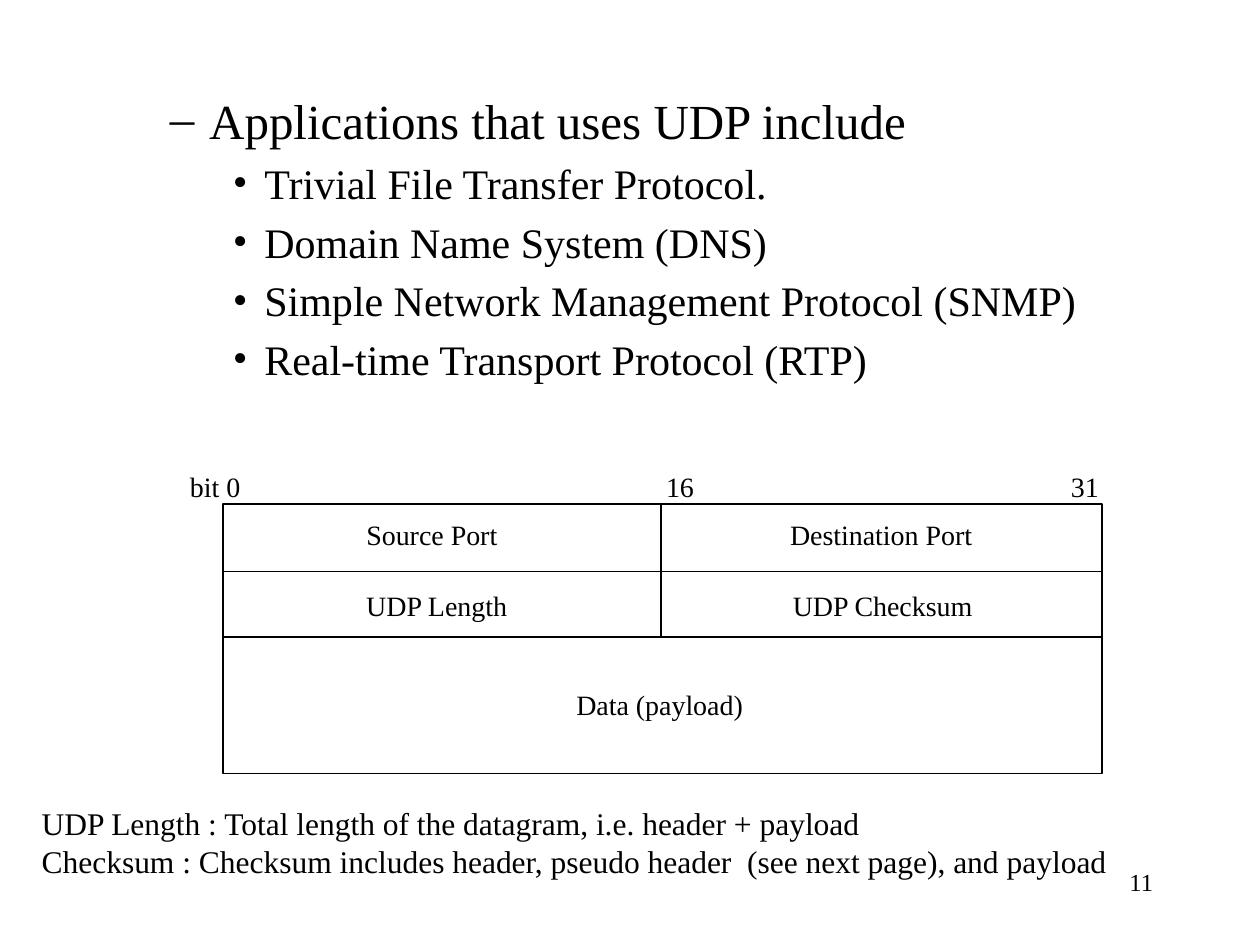
"""Slide on UDP applications and the layout of a UDP datagram."""
from lxml import etree
from pptx import Presentation
from pptx.dml.color import RGBColor
from pptx.enum import shapes, text
from pptx.oxml import ns
from pptx.util import Pt

COLOURS = {"ink": "000000"}
FONT = "Times New Roman"
LINE_WIDTH = 0.88

APPLICATIONS = [
    (1, "Applications that uses UDP include"),
    (2, "Trivial File Transfer Protocol."),
    (2, "Domain Name System (DNS)"),
    (2, "Simple Network Management Protocol (SNMP)"),
    (2, "Real-time Transport Protocol (RTP)"),
]
LEVELS = {
    1: {"size": 28, "bullet": "–", "margin": 58.5, "indent": -22.5},
    2: {"size": 24, "bullet": "•", "margin": 90, "indent": -18},
}
BITS = [("bit 0", 108.6), ("16", 380.6), ("31", 612)]
FIELDS = [
    (296, [("Source Port", 209.3), ("Destination Port", 451.5)]),
    (336.5, [("UDP Length", 209.3), ("UDP Checksum", 453)]),
    (393, [("Data (payload)", 329.3)]),
]
NOTES = [
    "UDP Length : Total length of the datagram, i.e. header + payload",
    "Checksum : Checksum includes header, pseudo header  (see next page), and payload",
]
PAGE = "11"

LEFT, TOP, WIDTH, HEIGHT = 127.3, 288, 502.5, 154
RIGHT = LEFT + WIDTH
MIDDLE = 377.7
ROW_LINES = [326.6, 364]
DIVIDERS = [(LEFT, y, RIGHT, y) for y in ROW_LINES]
DIVIDERS.append((MIDDLE, TOP, MIDDLE, ROW_LINES[-1]))


def colour(name):
    return RGBColor.from_string(COLOURS[name])


def add_frame(slide, left, top, width, height, inset=True):
    frame = slide.shapes.add_textbox(Pt(left), Pt(top), Pt(width), Pt(height)).text_frame
    frame.word_wrap = inset
    if not inset:
        frame.margin_left = frame.margin_right = 0
        frame.margin_top = frame.margin_bottom = 0
    return frame


def add_lines(frame, lines, size):
    for number, line in enumerate(lines):
        paragraph = frame.add_paragraph() if number else frame.paragraphs[0]
        add_run(paragraph, line, size)


def add_run(paragraph, words, size):
    run = paragraph.add_run()
    run.text = words
    run.font.name = FONT
    run.font.size = Pt(size)
    run.font.color.rgb = colour("ink")


def add_label(slide, words, left, top):
    width = 10 * len(words)
    add_lines(add_frame(slide, left, top, width, 19.4, inset=False), [words], 16)


def add_applications(slide):
    frame = add_frame(slide, 54, 48, 612, 432)
    for number, (level, words) in enumerate(APPLICATIONS):
        style = LEVELS[level]
        paragraph = frame.add_paragraph() if number else frame.paragraphs[0]
        paragraph.level = level
        paragraph.space_before = Pt(round(style["size"] * 0.2, 1))
        properties = paragraph._p.get_or_add_pPr()
        properties.set("marL", str(Pt(style["margin"])))
        properties.set("indent", str(Pt(style["indent"])))
        etree.SubElement(properties, ns.qn("a:buFont")).set("typeface", FONT)
        etree.SubElement(properties, ns.qn("a:buChar")).set("char", style["bullet"])
        add_run(paragraph, words, style["size"])


def add_datagram(slide):
    outline = slide.shapes.add_shape(
        shapes.MSO_SHAPE.RECTANGLE, Pt(LEFT), Pt(TOP), Pt(WIDTH), Pt(HEIGHT))
    outline.shadow.inherit = False
    outline.fill.background()
    outline.line.color.rgb = colour("ink")
    outline.line.width = Pt(LINE_WIDTH)
    for ends in DIVIDERS:
        divider = slide.shapes.add_connector(
            shapes.MSO_CONNECTOR.STRAIGHT, *[Pt(end) for end in ends])
        divider.line.color.rgb = colour("ink")
        divider.line.width = Pt(LINE_WIDTH)
        etree.SubElement(divider._element.spPr, ns.qn("a:effectLst"))
    for top, labels in [(268.5, BITS)] + FIELDS:
        for words, left in labels:
            add_label(slide, words, left, top)


def main():
    deck = Presentation()
    deck.slide_width, deck.slide_height = Pt(720), Pt(540)
    slide = deck.slides.add_slide(deck.slide_layouts[6])
    add_applications(slide)
    add_datagram(slide)
    page = add_frame(slide, 516, 492, 150, 36)
    add_lines(page, [PAGE], 14)
    page.paragraphs[0].alignment = text.PP_ALIGN.RIGHT
    add_lines(add_frame(slide, 16.7, 456, 685, 72.7), NOTES, 18)
    deck.save("out.pptx")


main()
